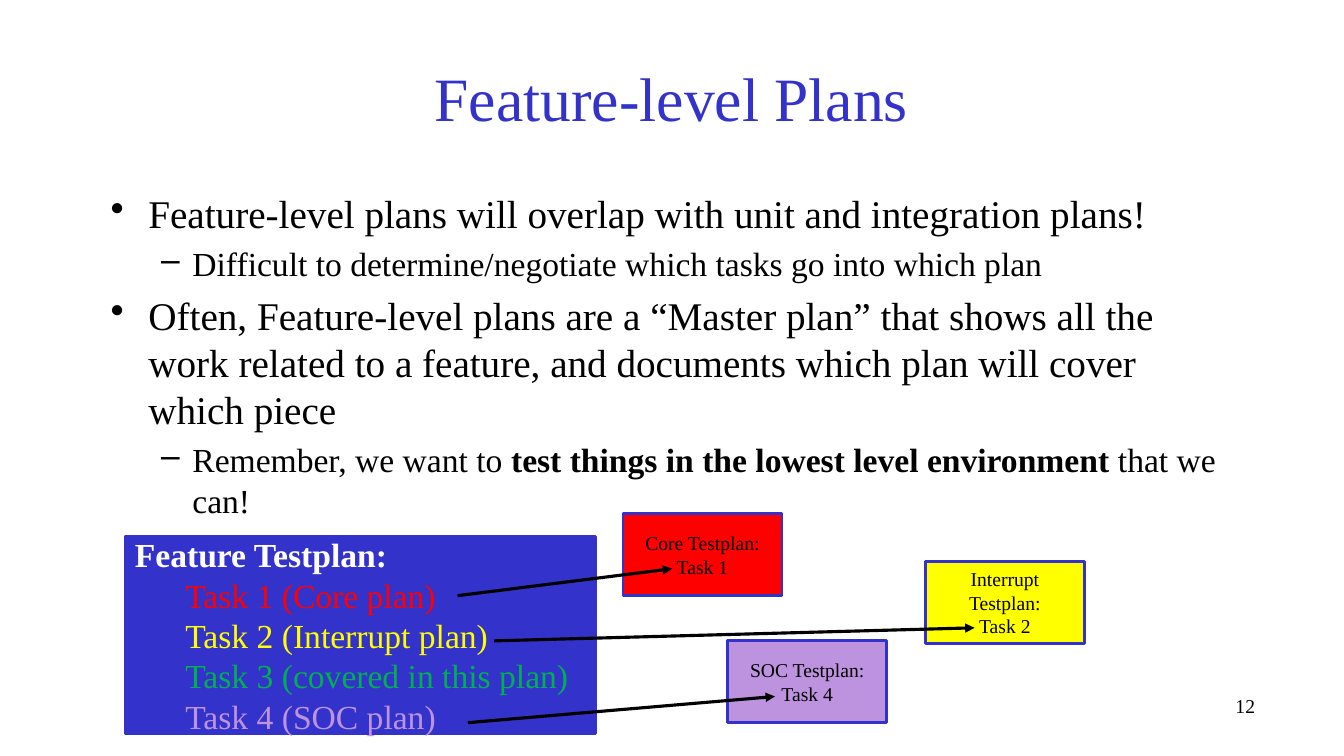
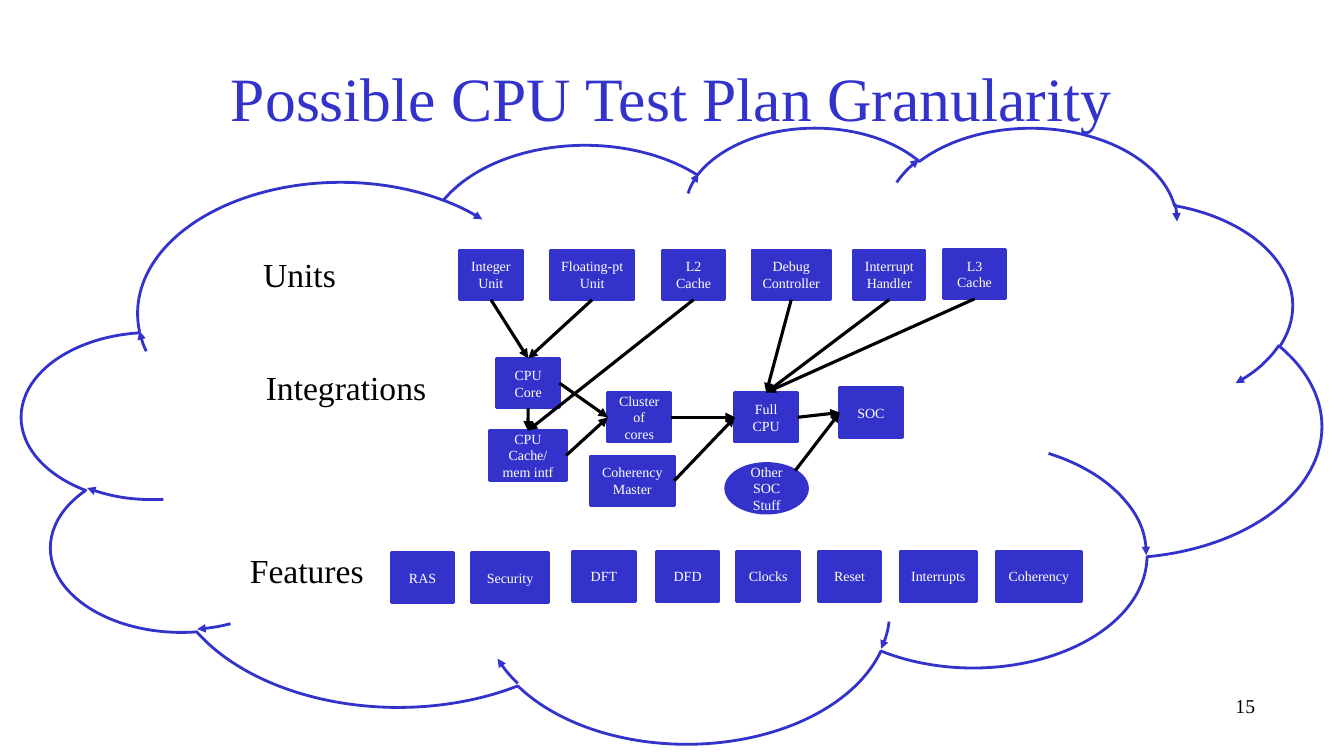
import pptx
import pptx.util
import pptx.dml.color
import pptx.enum.shapes
import pptx.enum.text
import pptx.oxml.ns
import lxml.etree

Cm = pptx.util.Cm
Pt = pptx.util.Pt
Shape = pptx.enum.shapes.MSO_SHAPE
Align = pptx.enum.text.PP_ALIGN
Anchor = pptx.enum.text.MSO_ANCHOR

HUES = {
    "blue": "3333CC", "black": "000000", "white": "FFFFFF", "red": "FF0000",
    "yellow": "FFFF00", "green": "00B050", "lilac": "BD92DE",
}
TOP, LEFT, BASE, RIGHT = range(4)  # connection sites of a rectangle


def hue(name):
    return pptx.dml.color.RGBColor.from_string(HUES[name])


def add_tag(parent, name, **attrs):
    return lxml.etree.SubElement(parent, pptx.oxml.ns.qn(name), attrs)


class Deck:
    """Holds the shared style and the slide being filled."""

    FONT = "Times New Roman"
    # size, left margin and first-line indent (cm), bullet
    LEVELS = [(28, 0.95, -0.95, "•"), (24, 2.06, -0.79, "–")]

    def __init__(self):
        self.prs = pptx.Presentation()
        self.prs.slide_width = Cm(33.87)
        self.prs.slide_height = Cm(19.05)

    def start(self, title, number):
        """Begin a slide with its title and number."""
        self.slide = self.prs.slides.add_slide(self.prs.slide_layouts[6])
        self.text(number, 21.16, 17.35, 10.72, 1.27, 14, align=Align.RIGHT)
        frame = self.text(title, 2.54, 0.84, 28.78, 3.18, 44, "blue", Align.CENTER)
        frame.vertical_anchor = Anchor.MIDDLE

    def run(self, para, text, size, color="black", bold=False):
        font_run = para.add_run()
        font_run.text = text
        font = font_run.font
        font.name, font.size, font.bold = self.FONT, Pt(size), bold
        font.color.rgb = hue(color)

    def para(self, frame, align=Align.LEFT):
        """Return the unused first paragraph, or a new one."""
        first = frame.paragraphs[0]
        para = frame.add_paragraph() if first.runs else first
        para.alignment = align
        return para

    def frame(self, x, y, w, h):
        frame = self.slide.shapes.add_textbox(Cm(x), Cm(y), Cm(w), Cm(h)).text_frame
        frame.word_wrap = True
        return frame

    def text(self, text, x, y, w, h, size, color="black", align=Align.LEFT):
        frame = self.frame(x, y, w, h)
        self.run(self.para(frame, align), text, size, color)
        return frame

    def label(self, text, x, y, w):
        frame = self.text(text, x, y, w, 1.27, 24)
        frame.word_wrap = False
        frame.auto_size = pptx.enum.text.MSO_AUTO_SIZE.SHAPE_TO_FIT_TEXT

    def list(self, items, x, y, w, h):
        """Add bullets given as (level, [(text, bold), ...])."""
        frame = self.frame(x, y, w, h)
        for level, parts in items:
            size, margin, indent, mark = self.LEVELS[level]
            para = self.para(frame)
            para.level = level
            para.space_before = Pt(size * 0.2)
            props = para._p.get_or_add_pPr()
            props.set("marL", str(Cm(margin)))
            props.set("indent", str(Cm(indent)))
            add_tag(props, "a:buChar", char=mark)
            for text, bold in parts:
                self.run(para, text, size, bold=bold)

    def shape(self, kind, x, y, w, h, fill=None):
        shape = self.slide.shapes.add_shape(kind, Cm(x), Cm(y), Cm(w), Cm(h))
        shape.shadow.inherit = False
        if fill:
            shape.fill.solid()
            shape.fill.fore_color.rgb = hue(fill)
        else:
            shape.fill.background()
        shape.line.color.rgb = hue("blue")
        shape.line.width = Pt(2)
        shape.text_frame.vertical_anchor = Anchor.MIDDLE
        return shape

    def box(self, lines, x, y, w, h, fill="blue", color="white", size=10,
            kind=Shape.RECTANGLE):
        shape = self.shape(kind, x, y, w, h, fill)
        for line in lines:
            para = self.para(shape.text_frame, Align.CENTER)
            self.run(para, line, size, color)
        return shape

    def head(self, line):
        """Put an arrowhead at the end of a line."""
        add_tag(line._get_or_add_ln(), "a:tailEnd", type="triangle")

    def arrow(self, start=(0, 0), end=(0, 0)):
        points = [Cm(v) for v in (*start, *end)]
        kind = pptx.enum.shapes.MSO_CONNECTOR.STRAIGHT
        arrow = self.slide.shapes.add_connector(kind, *points)
        arrow.line.color.rgb = hue("black")
        arrow.line.width = Pt(2.25)
        self.head(arrow.line)
        add_tag(arrow._element.spPr, "a:effectLst")
        return arrow

    def join(self, source, out, target, into):
        """Draw an arrow from one box's site to another's."""
        arrow = self.arrow()
        arrow.begin_connect(source, out)
        arrow.end_connect(target, into)


def draw_plans(deck):
    deck.start("Feature-level Plans", "12")
    deck.list([
        (0, [("Feature-level plans will overlap with unit and integration plans!", False)]),
        (1, [("Difficult to determine/negotiate which tasks go into which plan", False)]),
        (0, [("Often, Feature-level plans are a “Master plan” that shows all the work "
              "related to a feature, and documents which plan will cover which piece", False)]),
        (1, [("Remember, we want to ", False),
             ("test things in the lowest level environment ", True),
             ("that we can!", False)]),
    ], 2.54, 4.65, 28.78, 8.84)

    frame = deck.shape(Shape.RECTANGLE, 3.15, 13.51, 11.86, 4.98, "blue").text_frame
    deck.run(deck.para(frame), "Feature Testplan:", 24, "white", True)
    for task, color in [("Task 1 (Core plan)", "red"),
                        ("Task 2 (Interrupt plan)", "yellow"),
                        ("Task 3 (covered in this plan)", "green"),
                        ("Task 4 (SOC plan)", "lilac")]:
        para = deck.para(frame)
        para.level = 1
        para._p.get_or_add_pPr().set("marL", str(Cm(1.27)))
        deck.run(para, task, 24, color)

    for name, task, x, y, fill in [("Core", 1, 15.7, 12.95, "red"),
                                   ("Interrupt", 2, 23.32, 14.15, "yellow"),
                                   ("SOC", 4, 18.34, 16.15, "lilac")]:
        lines = [f"{name} Testplan:", f"Task {task}"]
        deck.box(lines, x, y, 4.01, 2.06, fill, "black", 14)
    for start, end in [((11.53, 15.01), (16.94, 14.33)),
                       ((12.45, 16.15), (24.56, 15.82)),
                       ((11.79, 18.21), (19.53, 17.55))]:
        deck.arrow(start, end)


def draw_map(deck):
    deck.start("Possible CPU Test Plan Granularity", "15")
    cloud = deck.shape(Shape.CLOUD, 0.56, 3.18, 32.74, 15.52)
    deck.head(cloud.line)
    for label in [("Units", 6.38, 6.27, 2.36),
                  ("Integrations", 6.45, 9.12, 4.6),
                  ("Features", 6.05, 13.74, 3.4)]:
        deck.label(*label)

    high, slim = 1.25, 1.58
    blocks = [
        ("Integer Unit", 11.58, 6.3, slim),
        ("Floating-pt Unit", 13.87, 6.3, 2.11),
        ("L2 Cache", 16.69, 6.3, slim),
        ("Debug Controller", 18.95, 6.3, 1.98),
        ("Interrupt Handler", 21.51, 6.3, 1.8),
        ("L3 Cache", 23.77, 6.28, slim),
        ("CPU Core", 12.52, 9.03, slim),
        ("CPU Cache/ mem intf", 12.34, 10.85, 1.93),
        ("Cluster of cores", 15.32, 9.89, slim),
        ("Coherency Master", 14.88, 11.49, 2.11),
        ("Full CPU", 18.52, 9.89, slim),
        ("SOC", 21.16, 9.77, slim),
        ("RAS", 9.86, 13.93, slim),
        ("Security", 11.89, 13.93, 1.93),
        ("DFT", 14.43, 13.9, slim),
        ("DFD", 16.54, 13.9, slim),
        ("Clocks", 18.57, 13.9, slim),
        ("Reset", 20.62, 13.9, slim),
        ("Interrupts", 22.68, 13.9, 1.93),
        ("Coherency", 25.1, 13.9, 2.16),
    ]
    boxes = {name: deck.box([name], x, y, w, high) for name, x, y, w in blocks}
    deck.box(["Other SOC Stuff"], 18.29, 11.68, 2.06, high, kind=Shape.OVAL)

    for source, out, target, into in [
        ("Integer Unit", BASE, "CPU Core", TOP),
        ("Floating-pt Unit", BASE, "CPU Core", TOP),
        ("CPU Core", BASE, "CPU Cache/ mem intf", TOP),
        ("L2 Cache", BASE, "CPU Cache/ mem intf", TOP),
        ("CPU Core", RIGHT, "Cluster of cores", LEFT),
        ("CPU Cache/ mem intf", RIGHT, "Cluster of cores", LEFT),
        ("Cluster of cores", RIGHT, "Full CPU", LEFT),
        ("Coherency Master", RIGHT, "Full CPU", LEFT),
        ("Debug Controller", BASE, "Full CPU", TOP),
        ("Interrupt Handler", BASE, "Full CPU", TOP),
        ("L3 Cache", BASE, "Full CPU", TOP),
        ("Full CPU", RIGHT, "SOC", LEFT),
    ]:
        deck.join(boxes[source], out, boxes[target], into)
    deck.arrow((20.04, 11.86), (21.16, 10.4))


def main():
    deck = Deck()
    draw_plans(deck)
    draw_map(deck)
    deck.prs.save("out.pptx")


if __name__ == "__main__":
    main()
